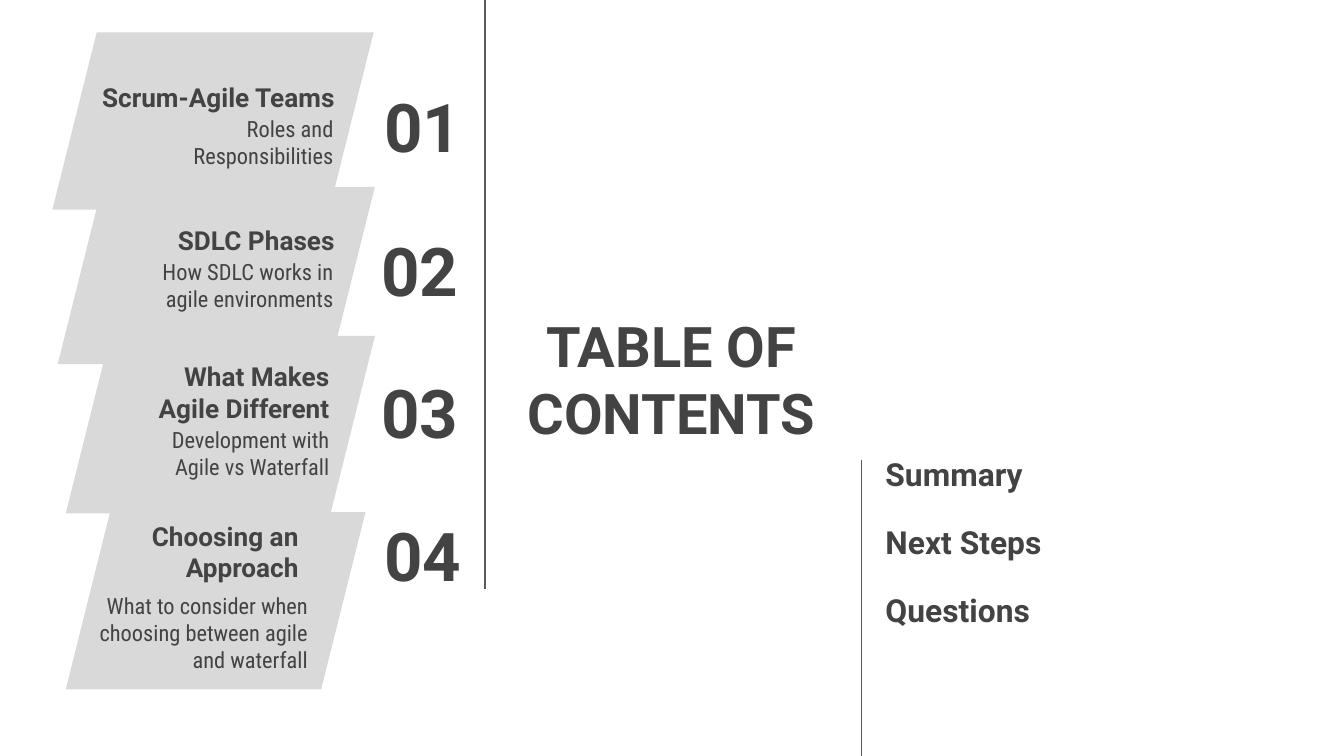
from pptx import Presentation
from pptx.enum import shapes, text
from pptx.dml.color import RGBColor
from pptx.oxml.ns import qn
from pptx.util import Inches, Pt

COLORS = {"text": "434343", "panel": "D9D9D9", "rule": "595959"}
ROW_H = 0.63
PANEL_H = 1.32
TITLE_W = 2.16
SUB_W = 1.83
NUMBER_W = 1.21

LEFT, CENTER, RIGHT = text.PP_ALIGN.LEFT, text.PP_ALIGN.CENTER, text.PP_ALIGN.RIGHT
TOP, MIDDLE, BOTTOM = text.MSO_ANCHOR.TOP, text.MSO_ANCHOR.MIDDLE, text.MSO_ANCHOR.BOTTOM

STYLES = {
    "heading": ({"name": "Roboto", "size": Pt(30), "bold": True}, CENTER, MIDDLE),
    "number": ({"name": "Roboto", "size": Pt(36), "bold": True}, RIGHT, MIDDLE),
    "title": ({"name": "Roboto", "size": Pt(14), "bold": True}, RIGHT, BOTTOM),
    "subtitle": ({"name": "Roboto Condensed", "size": Pt(12), "bold": False}, RIGHT, TOP),
    "closing": ({"name": "Roboto", "size": Pt(17), "bold": True}, LEFT, BOTTOM),
}

# Each part: (left, top) or (left, top, width), then its wording
SECTIONS = [
    {"panel": (0.39, 0.24, 2.39), "number": (2.32, 0.62, "01"),
     "title": (0.43, 0.31, TITLE_W, ["Scrum-Agile Teams"]),
     "subtitle": (0.75, 0.76, ["Roles and Responsibilities"])},
    {"panel": (0.43, 1.39, 2.36), "number": (2.3, 1.69, "02"),
     "title": (0.43, 1.37, TITLE_W, ["SDLC Phases"]),
     "subtitle": (0.75, 1.82, ["How SDLC works in", "agile environments"])},
    {"panel": (0.49, 2.5, 2.3), "number": (2.3, 2.75, "03"),
     "title": (0.39, 2.62, TITLE_W, ["What Makes", "Agile Different"]),
     "subtitle": (0.72, 3.07, ["Development with", "Agile vs Waterfall"])},
    {"panel": (0.49, 3.81, 2.23), "number": (2.32, 3.81, "04"),
     "title": (0.2, 3.81, 2.12, ["Choosing an Approach"]),
     "subtitle": (0.56, 4.31, ["What to consider when choosing between agile and waterfall"])},
]
CLOSING = [("Summary", 3.14), ("Next Steps", 3.64), ("Questions", 4.15)]


def color(name):
    return RGBColor.from_string(COLORS[name])


def add_panel(s, left, top, width):
    sp = s.shapes.add_shape(shapes.MSO_SHAPE.PARALLELOGRAM, Inches(left), Inches(top),
                            Inches(width), Inches(PANEL_H))
    sp.shadow.inherit = False
    sp.adjustments[0] = 0.25
    sp.fill.solid()
    sp.fill.fore_color.rgb = color("panel")
    sp.line.fill.background()


def add_text(s, left, top, width, lines, style, height=ROW_H):
    """Add a text box with one paragraph per line, in a named style."""
    font, align, anchor = STYLES[style]
    tf = s.shapes.add_textbox(Inches(left), Inches(top), Inches(width), Inches(height)).text_frame
    frame = {"word_wrap": True, "vertical_anchor": anchor}
    frame.update({f"margin_{side}": Inches(0.1) for side in ("left", "right", "top", "bottom")})
    for name, value in frame.items():
        setattr(tf, name, value)
    for i, line in enumerate(lines):
        p = tf.add_paragraph() if i else tf.paragraphs[0]
        p.alignment = align
        r = p.add_run()
        r.text = line
        for name, value in font.items():
            setattr(r.font, name, value)
        r.font.color.rgb = color("text")


def add_rule(s, x, top, bottom):
    line = s.shapes.add_connector(shapes.MSO_CONNECTOR.STRAIGHT, Inches(x), Inches(top),
                                  Inches(x), Inches(bottom))
    line.line.color.rgb = color("rule")
    line.line.width = Pt(0.75)
    sp_pr = line._element.spPr
    sp_pr.append(sp_pr.makeelement(qn("a:effectLst"), {}))


def add_section(s, section):
    left, top, number = section["number"]
    add_text(s, left, top, NUMBER_W, [number], "number")
    add_text(s, *section["title"], "title")
    left, top, lines = section["subtitle"]
    add_text(s, left, top, SUB_W, lines, "subtitle")


def main():
    prs = Presentation()
    prs.slide_width = Inches(10)
    prs.slide_height = Inches(10) * 9 // 16
    s = prs.slides.add_slide(prs.slide_layouts[6])

    for section in SECTIONS:
        add_panel(s, *section["panel"])
    add_text(s, 3.7, 2.3, 2.59, ["TABLE OF CONTENTS"], "heading", height=1.03)
    for section in SECTIONS:
        add_section(s, section)
    for label, top in CLOSING:
        add_text(s, 6.49, top, TITLE_W, [label], "closing")
    add_rule(s, 3.61, 0, 4.38)
    add_rule(s, 6.41, 3.42, 5.64)

    prs.save("out.pptx")


if __name__ == "__main__":
    main()
